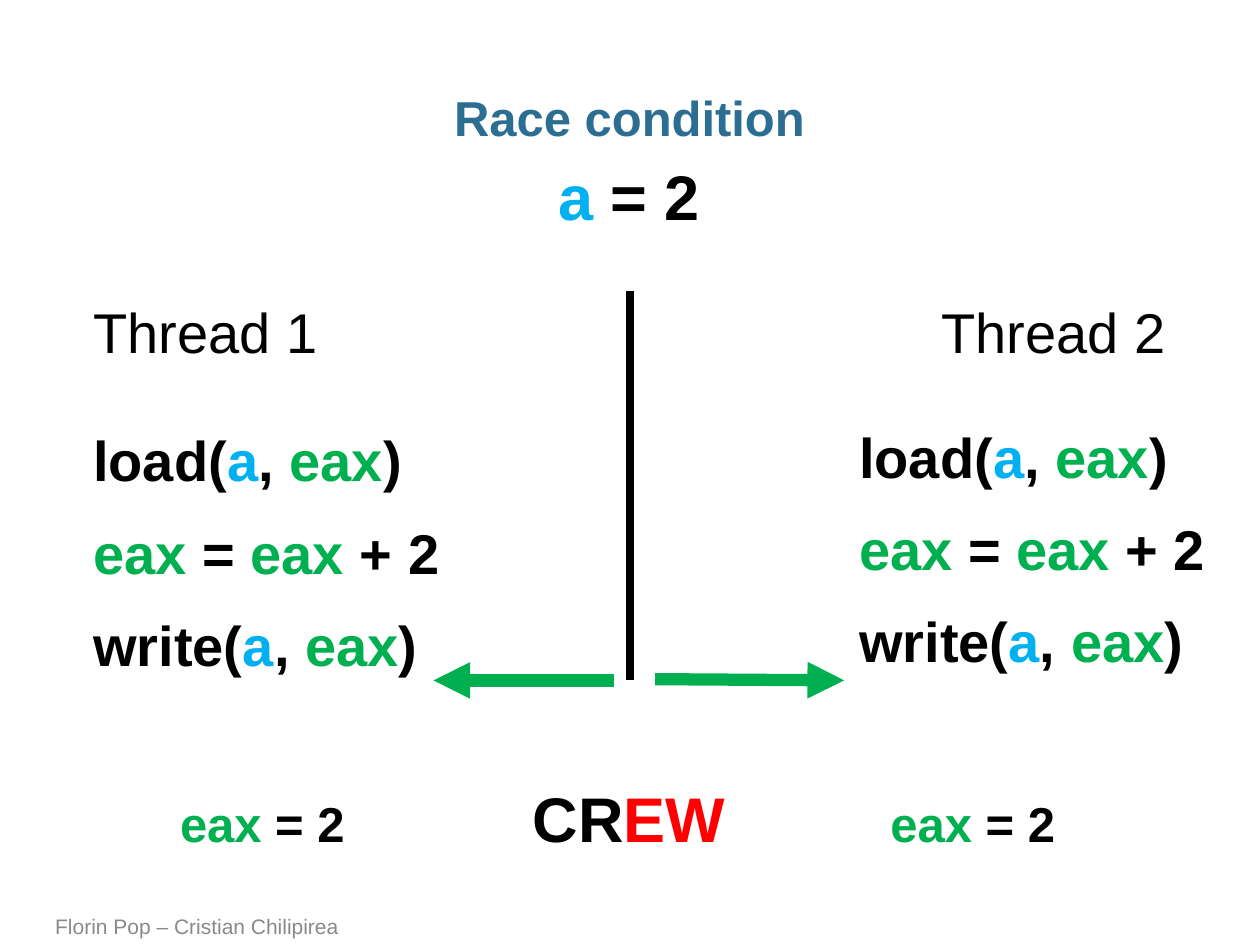
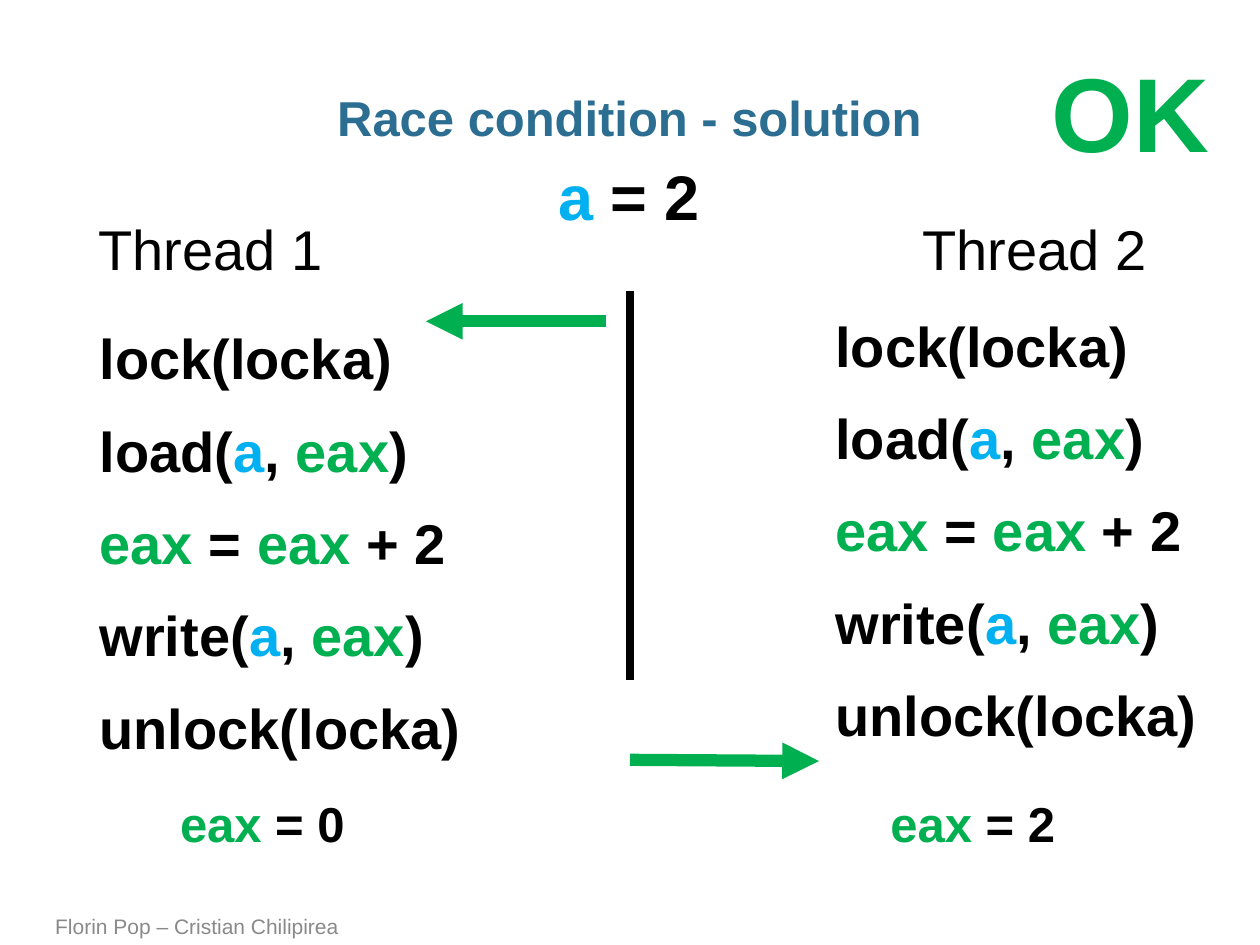
from dataclasses import dataclass

from lxml.etree import SubElement
from pptx import Presentation
from pptx.dml.color import RGBColor as RGB
from pptx.enum.shapes import MSO_CONNECTOR as CONN
from pptx.enum.text import MSO_ANCHOR as ANCHOR, PP_ALIGN as ALIGN
from pptx.oxml.ns import qn
from pptx.util import Pt


@dataclass(frozen=True)
class Theme:
    font: str = "Arial"
    ink: str = "000000"
    title: str = "2C6D92"
    muted: str = "898989"
    shared: str = "00B0F0"
    register: str = "00B050"
    alert: str = "FF0000"
    footer_size: int = 12
    title_size: int = 28
    code_size: int = 32
    state_size: int = 36
    verdict_size: int = 60
    code_gap: float = 14.4


T = Theme()
TOKEN_COLORS = {"a": T.shared, "eax": T.register, "EW": T.alert, "OK": T.register}
UPDATE = ["load(|a|, |eax|)", "eax| = |eax| + 2", "write(|a|, |eax|)"]
LOCKED_UPDATE = ["lock(locka)", *UPDATE, "unlock(locka)"]


def add_text(slide, text, box, size, color=T.ink, bold=True, align=ALIGN.LEFT,
             anchor=ANCHOR.TOP, side=7.2, wrap=True, spacing=None, gap=0):
    tf = slide.shapes.add_textbox(*map(Pt, box)).text_frame
    tf.word_wrap = wrap
    tf.vertical_anchor = anchor
    tf.margin_left = tf.margin_right = Pt(side)
    tf.margin_top = tf.margin_bottom = Pt(3.6)
    lines = [text] if isinstance(text, str) else text
    for i, line in enumerate(lines):
        p = tf.add_paragraph() if i else tf.paragraphs[0]
        p.alignment = align
        if spacing:
            p.line_spacing = spacing
        if i:
            p.space_before = Pt(gap)
        for token in line.split("|"):
            r = p.add_run()
            r.text = token
            r.font.name = T.font
            r.font.size = Pt(size)
            r.font.bold = bold
            r.font.color.rgb = RGB.from_string(TOKEN_COLORS.get(token, color))


def add_line(slide, start, end, color, width, arrow=False):
    line = slide.shapes.add_connector(CONN.STRAIGHT, *map(Pt, (*start, *end)))
    line.line.color.rgb = RGB.from_string(color)
    line.line.width = Pt(width)
    if arrow:
        SubElement(line.line._get_or_add_ln(), qn("a:tailEnd"), type="triangle")
    SubElement(line._element.spPr, qn("a:effectLst"))


def add_arrow(slide, start, end):
    add_line(slide, start, end, T.register, 7, arrow=True)


def add_thread(slide, name, name_at, code, code_at):
    add_text(slide, name, (*name_at, 186.5, 47.5), T.code_size, bold=False, side=0)
    height = 47.5 + 51.5 * (len(code) - 1)
    add_text(slide, code, (*code_at, 229, height), T.code_size, side=0, gap=T.code_gap)


def add_results(slide, *values):
    for x, value in zip((95.8, 501.8), values):
        add_text(slide, f"eax| = {value}", (x, 450, 151.2, 41), T.title_size)


def new_slide(prs, title):
    s = prs.slides.add_slide(prs.slide_layouts[6])
    add_text(s, title, (24.5, 49, 670.3, 36), T.title_size, T.title,
             align=ALIGN.CENTER, side=0, spacing=0.95)
    add_text(s, "Florin Pop – Cristian Chilipirea", (24.5, 519.8, 530.6, 20.2),
             T.footer_size, T.muted, bold=False, anchor=ANCHOR.BOTTOM)
    add_line(s, (360, 166.3), (360, 388.8), T.ink, 5)
    add_text(s, "a| = 2", (311.8, 86.4, 96.5, 51), T.state_size, wrap=False)
    return s


def add_race(prs):
    s = new_slide(prs, "Race condition")
    add_thread(s, "Thread 1", (53.3, 166.3), UPDATE, (53.3, 239.8))
    add_thread(s, "Thread 2", (537.8, 166.3), UPDATE, (491, 237.6))
    add_arrow(s, (350.6, 388.8), (247.7, 388.8))
    add_arrow(s, (374.4, 388.1), (482.4, 388.8))
    add_results(s, 2, 2)
    add_text(s, "CR|EW", (297.4, 442, 125.3, 51), T.state_size, wrap=False)


def add_solution(prs):
    s = new_slide(prs, "Race condition - solution")
    add_thread(s, "Thread 1", (56.2, 118.8), LOCKED_UPDATE, (56.9, 181.4))
    add_thread(s, "Thread 2", (527, 118.8), LOCKED_UPDATE, (477.4, 174.2))
    add_arrow(s, (346.3, 183.6), (243.4, 183.6))
    add_arrow(s, (360, 434.2), (468, 434.9))
    add_results(s, 0, 2)
    add_text(s, "OK", (594, 23.8, 105, 80), T.verdict_size, wrap=False)


def main():
    prs = Presentation()
    prs.slide_width, prs.slide_height = Pt(720), Pt(540)
    add_race(prs)
    add_solution(prs)
    prs.save("out.pptx")


if __name__ == "__main__":
    main()
